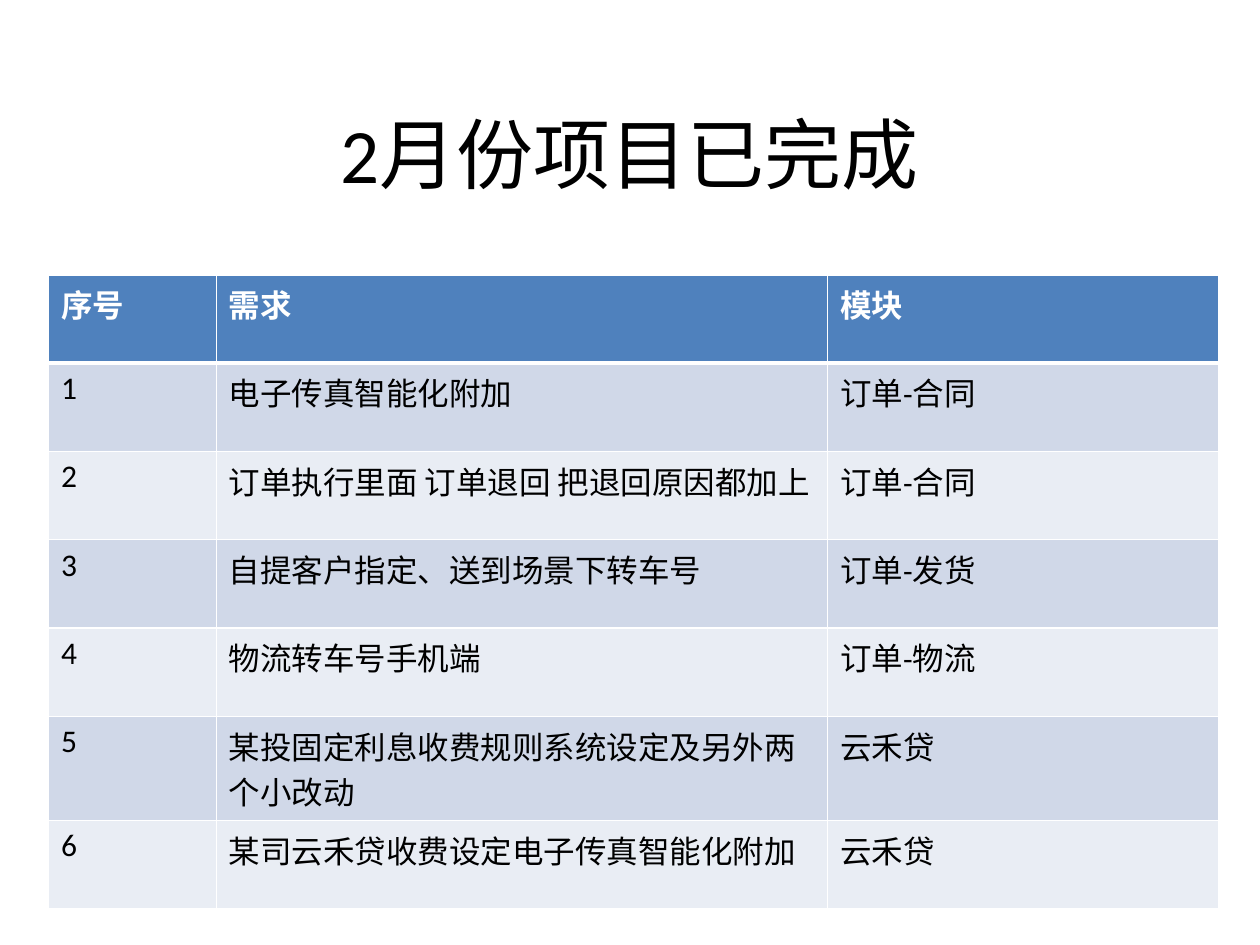
import pptx
import pptx.dml.color
import pptx.enum.text
import pptx.oxml
import pptx.oxml.ns
import pptx.util
from dataclasses import dataclass
from pptx.util import Cm


@dataclass(frozen=True)
class Theme:
    font: str = "Calibri"
    title_size: int = 44
    body_size: int = 18
    ink: str = "000000"
    white: str = "FFFFFF"
    header: str = "4F81BD"
    bands: tuple = ("D0D8E8", "E9EDF4")
    rule: int = 1
    header_rule: int = 3


class SlideBuilder:
    def __init__(self, slide, theme):
        self.slide = slide
        self.theme = theme

    def style(self, paragraph, size, color, bold=False):
        font = paragraph.font
        font.name = self.theme.font
        font.size = pptx.util.Pt(size)
        font.bold = bold
        font.color.rgb = pptx.dml.color.RGBColor.from_string(color)

    def title(self, text, left, top, width, height):
        frame = self.slide.shapes.add_textbox(
            Cm(left), Cm(top), Cm(width), Cm(height)).text_frame
        frame.word_wrap = True
        frame.vertical_anchor = pptx.enum.text.MSO_ANCHOR.MIDDLE
        heading = frame.paragraphs[0]
        heading.text = text
        heading.alignment = pptx.enum.text.PP_ALIGN.CENTER
        self.style(heading, self.theme.title_size, self.theme.ink)

    def border(self, cell, side, points):
        cell_properties = cell._tc.get_or_add_tcPr()
        cell_properties.append(pptx.oxml.parse_xml(
            f'<a:ln{side} {pptx.oxml.ns.nsdecls("a")} w="{pptx.util.Pt(points)}">'
            f'<a:solidFill><a:srgbClr val="{self.theme.white}"/></a:solidFill>'
            f'</a:ln{side}>'))

    def cell(self, cell, text, row):
        theme = self.theme
        is_header = row == 0
        # Borders: the rule under the header is heavier
        for side in "LRTB":
            heavy = (row, side) in ((0, "B"), (1, "T"))
            self.border(cell, side, theme.header_rule if heavy else theme.rule)
        # Fill: header colour, then alternating bands
        cell.fill.solid()
        cell.fill.fore_color.rgb = pptx.dml.color.RGBColor.from_string(
            theme.header if is_header else theme.bands[(row - 1) % 2])
        cell.text = text
        self.style(cell.text_frame.paragraphs[0], theme.body_size,
                   theme.white if is_header else theme.ink, is_header)

    def table(self, records, left, top, column_widths, row_heights):
        table = self.slide.shapes.add_table(
            len(records), len(column_widths), Cm(left), Cm(top),
            Cm(sum(column_widths)), Cm(sum(row_heights))).table
        for column, width in zip(table.columns, column_widths):
            column.width = Cm(width)
        for row, (record, height) in enumerate(zip(records, row_heights)):
            table.rows[row].height = Cm(height)
            for column, text in enumerate(record):
                self.cell(table.cell(row, column), text, row)


# Content
HEADINGS = ("序号", "需求", "模块")
REQUIREMENTS = [
    ("电子传真智能化附加", "订单-合同"),
    ("订单执行里面 订单退回 把退回原因都加上", "订单-合同"),
    ("自提客户指定、送到场景下转车号", "订单-发货"),
    ("物流转车号手机端", "订单-物流"),
    ("某投固定利息收费规则系统设定及另外两个小改动", "云禾贷"),
    ("某司云禾贷收费设定电子传真智能化附加", "云禾贷"),
]
records = [HEADINGS] + [
    (str(number), *requirement)
    for number, requirement in enumerate(REQUIREMENTS, 1)]

# Row heights: a requirement that wraps to two lines needs a taller row
LINE_CAPACITY = 21
ONE_LINE_HEIGHT, TWO_LINE_HEIGHT = 1.78, 2.1
row_heights = [
    TWO_LINE_HEIGHT if len(requirement) > LINE_CAPACITY else ONE_LINE_HEIGHT
    for _, requirement, _ in records]

# Slide
deck = pptx.Presentation()
deck.slide_width, deck.slide_height = Cm(25.4), Cm(19.05)
builder = SlideBuilder(deck.slides.add_slide(deck.slide_layouts[6]), Theme())
builder.title("2月份项目已完成", 1.9, 1.65, 21.6, 2.87)
builder.table(records, 0.98, 5.54, (3.38, 12.32, 7.89), row_heights)
deck.save("out.pptx")
